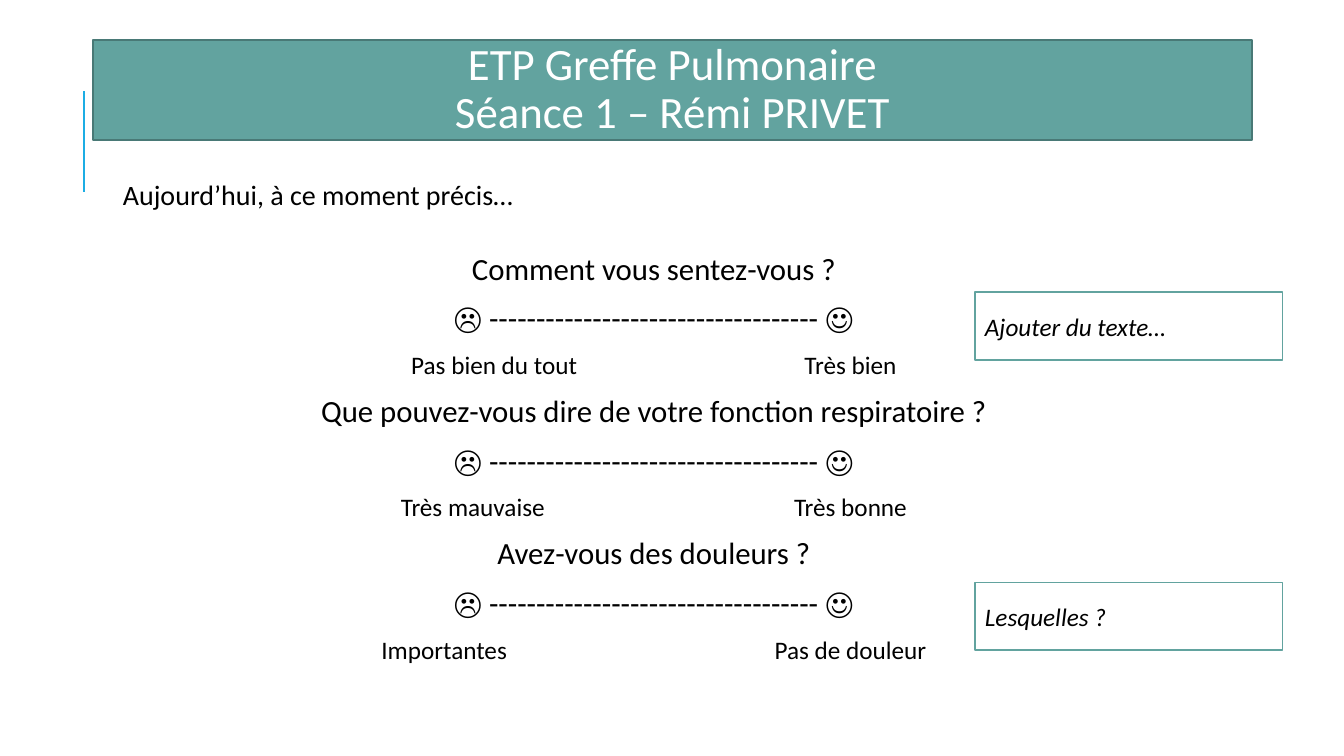
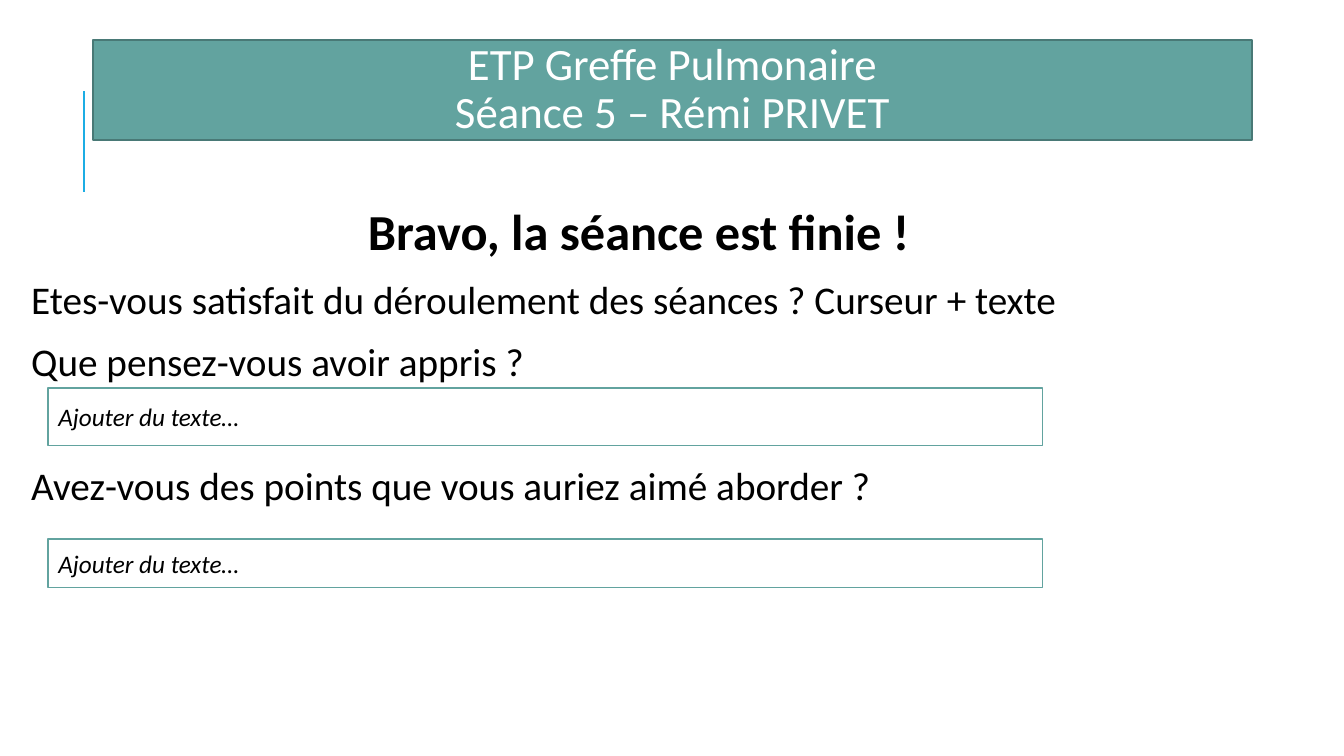
import pptx
import pptx.dml.color
import pptx.enum.shapes
import pptx.enum.text
import pptx.oxml.ns
import pptx.util
from lxml import etree

Inches = pptx.util.Inches
Pt = pptx.util.Pt
qn = pptx.oxml.ns.qn
ALIGN = pptx.enum.text.PP_ALIGN
ANCHOR = pptx.enum.text.MSO_ANCHOR
AUTO_SIZE = pptx.enum.text.MSO_AUTO_SIZE

COLORS = {"teal": "62A39F", "dark teal": "497976", "blue": "1CADE4",
          "white": "FFFFFF", "black": "000000"}
SCALE = "☹ " + "-" * 35 + " ☺"


class Session:
    """Holds the deck's style and the current page."""

    font = "Calibri"

    def __init__(self):
        self.deck = pptx.Presentation()
        self.deck.slide_width = Inches(13.33)
        self.deck.slide_height = Inches(7.5)
        self.page = None

    def color(self, name):
        return pptx.dml.color.RGBColor.from_string(COLORS[name])

    def place(self, box, at):
        for side, length in zip(("left", "top", "width", "height"), at):
            setattr(box, side, Inches(length))

    def paint(self, box, fill, line):
        box.fill.solid()
        box.fill.fore_color.rgb = self.color(fill)
        box.line.color.rgb = self.color(line)
        box.line.width = Pt(1.25)

    def frame(self, box, **values):
        values = {"word_wrap": True, "auto_size": AUTO_SIZE.NONE, **values}
        for name, value in values.items():
            setattr(box.text_frame, name, value)

    def fill_para(self, para, text, size, color="black", bold=False, italic=False, **layout):
        for name, value in layout.items():
            setattr(para, name, value)
        for index, line in enumerate(text.splitlines()):
            if index:
                para.add_line_break()
            span = para.add_run()
            span.text = line
            style = {"name": self.font, "size": Pt(size), "bold": bold, "italic": italic}
            for name, value in style.items():
                setattr(span.font, name, value)
            span.font.color.rgb = self.color(color)

    def bullet(self, para, char):
        """Set a bullet character with its hanging indent, or none."""
        indent = Inches(0.1) if char else 0
        props = para._p.get_or_add_pPr()
        for name, value in {"marL": indent, "indent": -indent, "defTabSz": Inches(1)}.items():
            props.set(name, str(int(value)))
        if char:
            etree.SubElement(props, qn("a:buChar")).set("char", char)
        else:
            etree.SubElement(props, qn("a:buNone"))

    def add_page(self, number):
        self.page = self.deck.slides.add_slide(self.deck.slide_layouts[1])
        self.add_title(f"ETP Greffe Pulmonaire\nSéance {number} – Rémi PRIVET")
        self.add_accent()

    def add_title(self, text):
        box = self.page.shapes.title
        self.place(box, (0.92, 0.4, 11.5, 0.99))
        self.paint(box, "teal", "dark teal")
        self.frame(box, vertical_anchor=ANCHOR.MIDDLE)
        self.fill_para(box.text_frame.paragraphs[0], text, 32, "white",
                       alignment=ALIGN.CENTER, line_spacing=0.9)

    def add_accent(self):
        line = self.page.shapes.add_connector(
            pptx.enum.shapes.MSO_CONNECTOR.STRAIGHT,
            Inches(0.83), Inches(1.9), Inches(0.83), Inches(0.9))
        line.line.color.rgb = self.color("blue")
        line.line.width = Pt(1.5)
        etree.SubElement(line._element.spPr, qn("a:effectLst"))

    def add_body(self, at, rows, line_spacing, bullet=None):
        """Each row is a text and its format values."""
        box = self.page.placeholders[1]
        self.place(box, at)
        margins = {f"margin_{side}": Inches(0.05) for side in ("left", "top", "right", "bottom")}
        self.frame(box, vertical_anchor=ANCHOR.TOP, **margins)
        for index, (text, values) in enumerate(rows):
            para = box.text_frame.add_paragraph() if index else box.text_frame.paragraphs[0]
            layout = {"alignment": ALIGN.LEFT, "line_spacing": line_spacing,
                      "space_before": Pt(12), "space_after": Pt(2)}
            self.fill_para(para, text, **{**layout, **values})
            self.bullet(para, bullet)

    def add_field(self, at, text):
        box = self.page.shapes.add_shape(
            pptx.enum.shapes.MSO_SHAPE.RECTANGLE, *map(Inches, at))
        box.shadow.inherit = False
        self.paint(box, "white", "teal")
        self.frame(box, vertical_anchor=ANCHOR.MIDDLE)
        self.fill_para(box.text_frame.paragraphs[0], text, 18, italic=True,
                       alignment=ALIGN.LEFT)

    def add_text(self, at, text, size):
        box = self.page.shapes.add_textbox(*map(Inches, at))
        self.frame(box, auto_size=AUTO_SIZE.SHAPE_TO_FIT_TEXT)
        self.fill_para(box.text_frame.paragraphs[0], text, size)


def main():
    session = Session()

    # Opening questions, each with a scale and the labels of its ends
    session.add_page(1)
    questions = [
        ("Comment vous sentez-vous ?", "Pas bien du tout \t\t\tTrès bien"),
        ("Que pouvez-vous dire de votre fonction respiratoire ?",
         "Très mauvaise  \t\t\tTrès bonne"),
        ("Avez-vous des douleurs ?", "Importantes\t\t\tPas de douleur"),
    ]
    rows = [(text, {"size": size, "alignment": ALIGN.CENTER})
            for question, ends in questions
            for text, size in ((question, 22), (SCALE, 22), (ends, 18))]
    session.add_body((1.12, 2.5, 10.63, 4.4), rows, 0.8, bullet=" ")
    for top, text in ((2.9, "Ajouter du texte…"), (5.78, "Lesquelles ?")):
        session.add_field((9.67, top, 3.05, 0.67), text)
    session.add_text((1.12, 1.71, 4.72, 0.44), "Aujourd’hui, à ce moment précis…", 20)

    # Closing questions, with fields for the answers
    session.add_page(5)
    rows = [
        ("Bravo, la séance est finie !", {"size": 36, "bold": True, "alignment": ALIGN.CENTER}),
        ("Etes-vous satisfait du déroulement des séances ? Curseur + texte", {"size": 28}),
        ("Que pensez-vous avoir appris ?", {"size": 28}),
        ("Avez-vous des points que vous auriez aimé aborder ?",
         {"size": 28, "space_before": Pt(56.5)}),
    ]
    session.add_body((0.26, 2, 12.15, 4.76), rows, 0.9)
    for top, height in ((3.85, 0.57), (5.35, 0.48)):
        session.add_field((0.48, top, 9.86, height), "Ajouter du texte…")

    session.deck.save("out.pptx")


if __name__ == "__main__":
    main()
